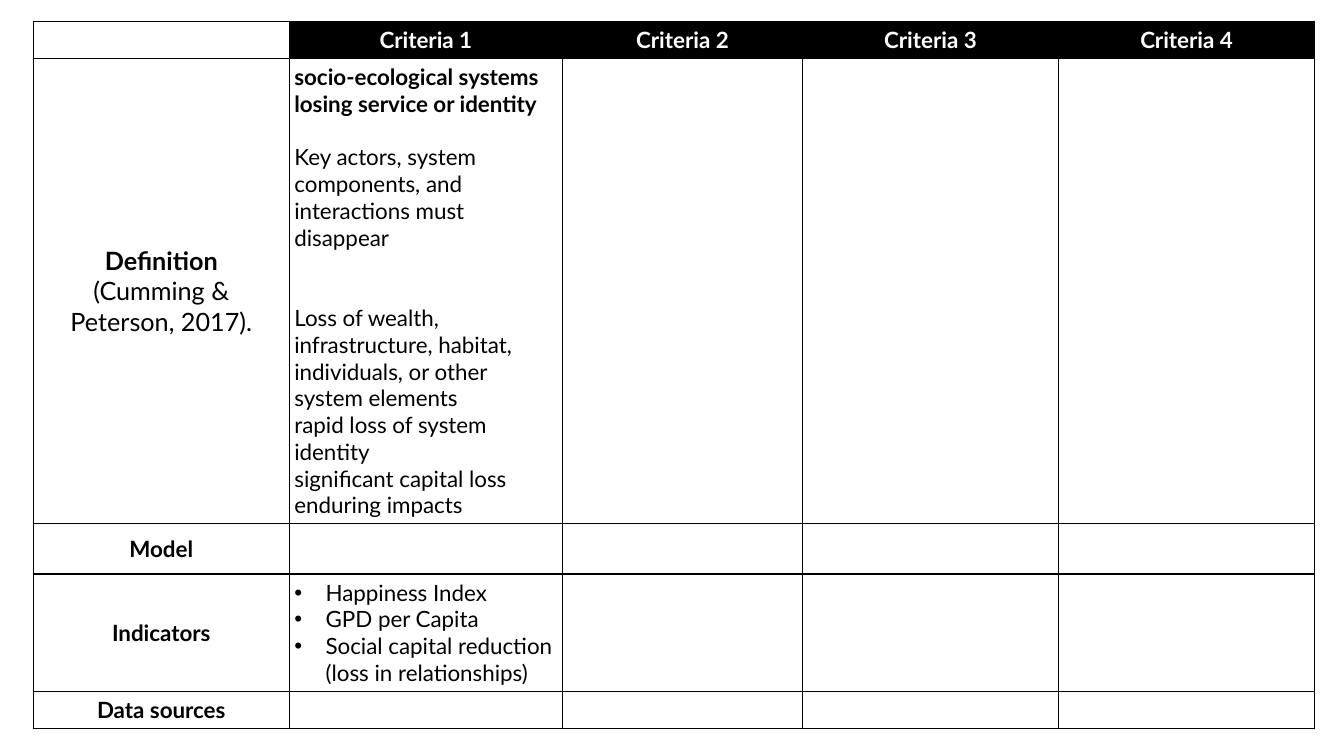
import pptx
import pptx.util
import pptx.dml.color
import pptx.enum.text
import pptx.oxml
import pptx.oxml.ns

SLIDE = (13.33, 7.5)
LEFT, TOP = 0.33, 0.21
COLS = [2.54, 2.71, 2.38, 2.54, 2.54]
ROWS = [0.37, 4.61, 0.5, 1.16, 0.37]
INSET, INDENT = 0.05, 0.31
FONT, SIZE, LINE = "Lato", 16, 19.2
BLACK, WHITE = "000000", "FFFFFF"

CRITERIA = ["Criteria 1", "Criteria 2", "Criteria 3", "Criteria 4"]
LABELS = ["Definition", "Model", "Indicators", "Data sources"]
CITATION = "(Cumming & Peterson, 2017)."
DEFINITION = [
    ("socio-ecological systems losing service or identity", True, 0),
    ("Key actors, system components, and interactions must disappear", False, 1),
    ("Loss of wealth, infrastructure, habitat, individuals, or other system elements", False, 2),
    ("rapid loss of system identity", False, 0),
    ("significant capital loss", False, 0),
    ("enduring impacts", False, 0),
]
INDICATORS = [
    "Happiness Index",
    "GPD per Capita",
    "Social capital reduction (loss in relationships)",
]


def rgb(color):
    """Turn a hex string into a colour."""
    return pptx.dml.color.RGBColor.from_string(color)


def add_text(cell, text, size=SIZE, bold=False, color=BLACK, center=False, before=0, bullet=False):
    """Write one formatted paragraph into a cell."""
    tf = cell.text_frame
    p = tf.paragraphs[0] if not cell.text else tf.add_paragraph()
    align = pptx.enum.text.PP_ALIGN
    p.alignment = align.CENTER if center else align.LEFT
    if before:
        p.space_before = pptx.util.Pt(before)
    if bullet:
        pPr = p._p.get_or_add_pPr()
        indent = pptx.util.Inches(INDENT)
        pPr.set("marL", str(indent))
        pPr.set("indent", str(-indent))
        ns = pptx.oxml.ns.nsdecls("a")
        pPr.append(pptx.oxml.parse_xml(f'<a:buFont {ns} typeface="Arial"/>'))
        pPr.append(pptx.oxml.parse_xml(f'<a:buChar {ns} char="•"/>'))
    r = p.add_run()
    r.text = text
    r.font.name, r.font.size, r.font.bold = FONT, pptx.util.Pt(size), bold
    r.font.color.rgb = rgb(color)


def format_cell(cell, fill=None):
    """Set the fill, the insets and the four borders of a cell."""
    if fill:
        cell.fill.solid()
        cell.fill.fore_color.rgb = rgb(fill)
    else:
        cell.fill.background()
    cell.margin_left = cell.margin_right = pptx.util.Inches(INSET)
    cell.margin_top = cell.margin_bottom = pptx.util.Inches(INSET if cell.text else 0)
    tcPr = cell._tc.get_or_add_tcPr()
    for i, side in enumerate("LRTB"):
        tcPr.insert(i, pptx.oxml.parse_xml(
            f'<a:ln{side} {pptx.oxml.ns.nsdecls("a")} w="{pptx.util.Pt(1)}">'
            f'<a:solidFill><a:srgbClr val="{BLACK}"/></a:solidFill></a:ln{side}>'))


def main():
    """Build the criteria table and save the slide."""
    inches = pptx.util.Inches
    prs = pptx.Presentation()
    prs.slide_width, prs.slide_height = map(inches, SLIDE)
    s = prs.slides.add_slide(prs.slide_layouts[6])
    box = map(inches, (LEFT, TOP, sum(COLS), sum(ROWS)))
    table = s.shapes.add_table(len(ROWS), len(COLS), *box).table
    table.first_row = table.horz_banding = False
    for column, width in zip(table.columns, COLS):
        column.width = inches(width)
    for row, height in zip(table.rows, ROWS):
        row.height = inches(height)

    for c, text in enumerate(CRITERIA, 1):
        add_text(table.cell(0, c), text, bold=True, color=WHITE, center=True)
    for r, text in enumerate(LABELS, 1):
        cell = table.cell(r, 0)
        cell.vertical_anchor = pptx.enum.text.MSO_ANCHOR.MIDDLE
        add_text(cell, text, size=18 if r == 1 else SIZE, bold=True, center=True)
    add_text(table.cell(1, 0), CITATION, size=18, center=True)
    for text, bold, gap in DEFINITION:
        add_text(table.cell(1, 1), text, bold=bold, before=gap * LINE)
    for text in INDICATORS:
        add_text(table.cell(3, 1), text, bullet=True)

    for r in range(len(ROWS)):
        for c in range(len(COLS)):
            format_cell(table.cell(r, c), BLACK if r == 0 and c else None)
    prs.save("out.pptx")


if __name__ == "__main__":
    main()
